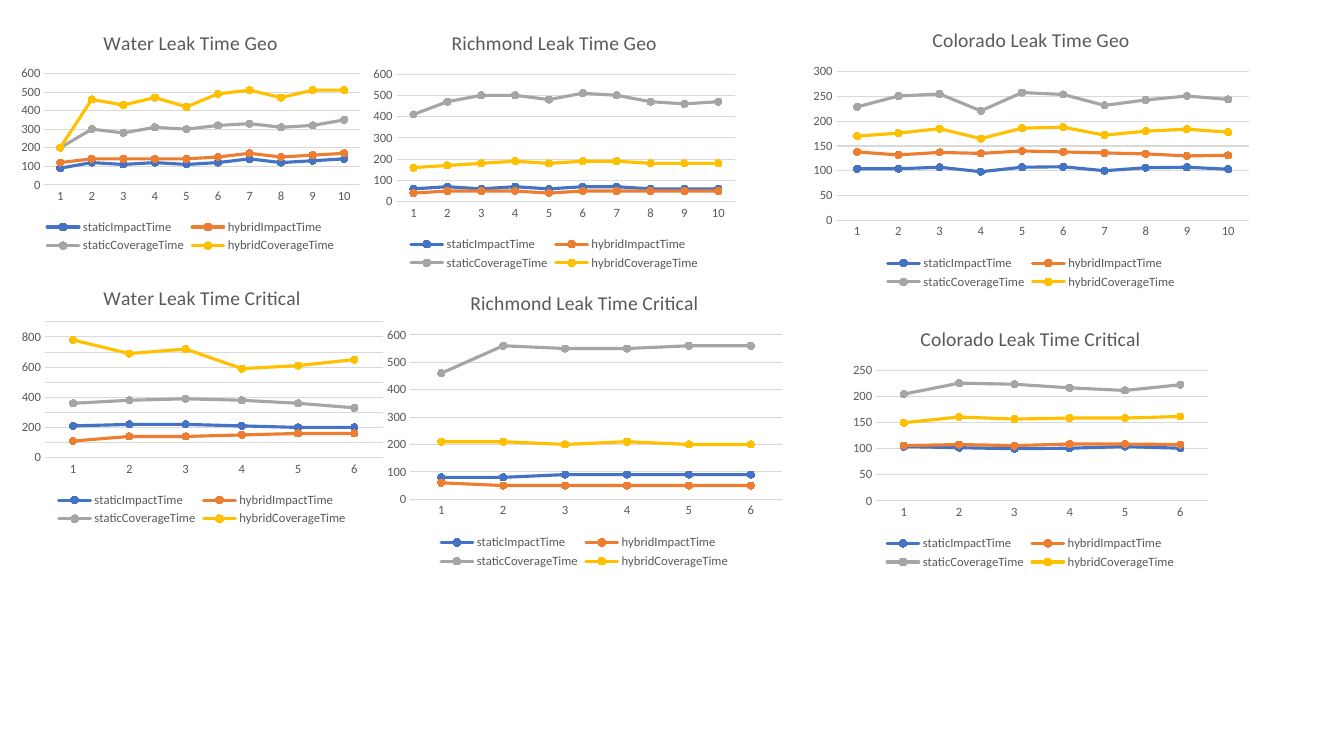
from lxml import etree
from pptx import Presentation
from pptx.chart.data import CategoryChartData as Data
from pptx.dml.color import RGBColor
from pptx.enum.chart import XL_CHART_TYPE as Kind, XL_LEGEND_POSITION as Place
from pptx.enum.chart import XL_MARKER_STYLE as Mark, XL_TICK_MARK as Tick
from pptx.oxml.ns import qn
from pptx.util import Cm, Pt

# Colours
TEXT = RGBColor(0x59, 0x59, 0x59)
GRID = RGBColor(0xD9, 0xD9, 0xD9)
BLACK = RGBColor(0, 0, 0)
LINES = {
    "staticImpactTime": RGBColor(0x44, 0x72, 0xC4),
    "hybridImpactTime": RGBColor(0xED, 0x7D, 0x31),
    "staticCoverageTime": RGBColor(0xA5, 0xA5, 0xA5),
    "hybridCoverageTime": RGBColor(0xFF, 0xC0, 0x00),
}

# Title, box in cm (left, top, width, height), axis top, axis step, rows of values
CHARTS = [
    ("Water Leak Time Geo", (0.36, 0.38, 8.89, 6.1), 600, 100, [
        [90, 120, 110, 120, 110, 120, 140, 120, 130, 140],
        [120, 140, 140, 140, 140, 150, 170, 150, 160, 170],
        [200, 300, 280, 310, 300, 320, 330, 310, 320, 350],
        [200, 460, 430, 470, 420, 490, 510, 470, 510, 510]]),
    ("Water Leak Time Critical", (0.36, 6.81, 9.47, 6.55), 900, 100, [
        [210, 220, 220, 210, 200, 200],
        [110, 140, 140, 150, 160, 160],
        [360, 380, 390, 380, 360, 330],
        [780, 690, 720, 590, 610, 650]]),
    ("Richmond Leak Time Geo", (9.22, 0.38, 9.5, 6.53), 600, 100, [
        [60, 70, 60, 70, 60, 70, 70, 60, 60, 60],
        [40, 50, 50, 50, 40, 50, 50, 50, 50, 50],
        [410, 470, 500, 500, 480, 510, 500, 470, 460, 470],
        [160, 170, 180, 190, 180, 190, 190, 180, 180, 180]]),
    ("Richmond Leak Time Critical", (9.55, 6.91, 10.36, 7.52), 600, 100, [
        [80, 80, 90, 90, 90, 90],
        [60, 50, 50, 50, 50, 50],
        [460, 560, 550, 550, 560, 560],
        [210, 210, 200, 210, 200, 200]]),
    ("Colorado Leak Time Geo", (20.27, 0.3, 11.43, 7.09), 300, 50, [
        [104, 104, 107, 98, 107, 108, 100, 106, 107, 103],
        [138, 132, 137, 135, 140, 138, 136, 134, 130, 131],
        [229, 251, 255, 221, 258, 254, 232, 243, 251, 244],
        [170, 176, 185, 165, 186, 188, 172, 180, 184, 178]]),
    ("Colorado Leak Time Critical", (21.31, 7.85, 9.32, 6.6), 250, 50, [
        [104, 102, 100, 101, 104, 101],
        [106, 108, 106, 109, 109, 108],
        [205, 226, 224, 217, 212, 223],
        [150, 161, 157, 159, 159, 162]]),
]


def style(font, size=9, color=TEXT, bold=False):
    font.name = "Calibri"
    font.size = Pt(size)
    font.bold = bold
    font.color.rgb = color


def stroke(line, color, width):
    line.color.rgb = color
    line.width = Pt(width)


def add_title(chart, text):
    frame = chart.chart_title.text_frame
    frame.text = text
    style(frame.paragraphs[0].runs[0].font, size=14)
    chart.chart_title.include_in_layout = False


def add_key(chart):
    chart.has_legend = True
    chart.legend.position = Place.BOTTOM
    chart.legend.include_in_layout = False
    style(chart.legend.font)


def set_axes(chart, top, step):
    cats, vals = chart.category_axis, chart.value_axis
    for axis in (cats, vals):
        axis.major_tick_mark = axis.minor_tick_mark = Tick.NONE
        style(axis.tick_labels.font)
    stroke(cats.format.line, GRID, 0.75)
    vals.format.line.fill.background()
    stroke(vals.major_gridlines.format.line, GRID, 0.75)
    vals.minimum_scale, vals.maximum_scale = 0, top
    vals.major_unit = step


def set_line(series, color):
    series.smooth = False
    line = series.format.line
    stroke(line, color, 2.25)
    # Round line ends
    pen = series.format._element.find(qn("c:spPr")).find(qn("a:ln"))
    pen.set("cap", "rnd")
    etree.SubElement(pen, qn("a:round"))
    dot = series.marker
    dot.style, dot.size = Mark.CIRCLE, 5
    dot.format.fill.solid()
    dot.format.fill.fore_color.rgb = color
    stroke(dot.format.line, color, 0.75)


def add_plot(slide, title, box, top, step, rows):
    data = Data(number_format="General")
    data.categories = [str(n + 1) for n in range(len(rows[0]))]
    for name, row in zip(LINES, rows):
        data.add_series(name, row)
    place = [Cm(side) for side in box]
    chart = slide.shapes.add_chart(Kind.LINE_MARKERS, *place, data).chart
    style(chart.font, size=10, color=BLACK)
    add_title(chart, title)
    add_key(chart)
    set_axes(chart, top, step)
    plot = chart.plots[0]
    plot.vary_by_categories = False
    for series in plot.series:
        set_line(series, LINES[series.name])


def main():
    deck = Presentation()
    deck.slide_width, deck.slide_height = Cm(33.87), Cm(19.05)
    slide = deck.slides.add_slide(deck.slide_layouts[6])
    for item in CHARTS:
        add_plot(slide, *item)
    deck.save("out.pptx")


main()
